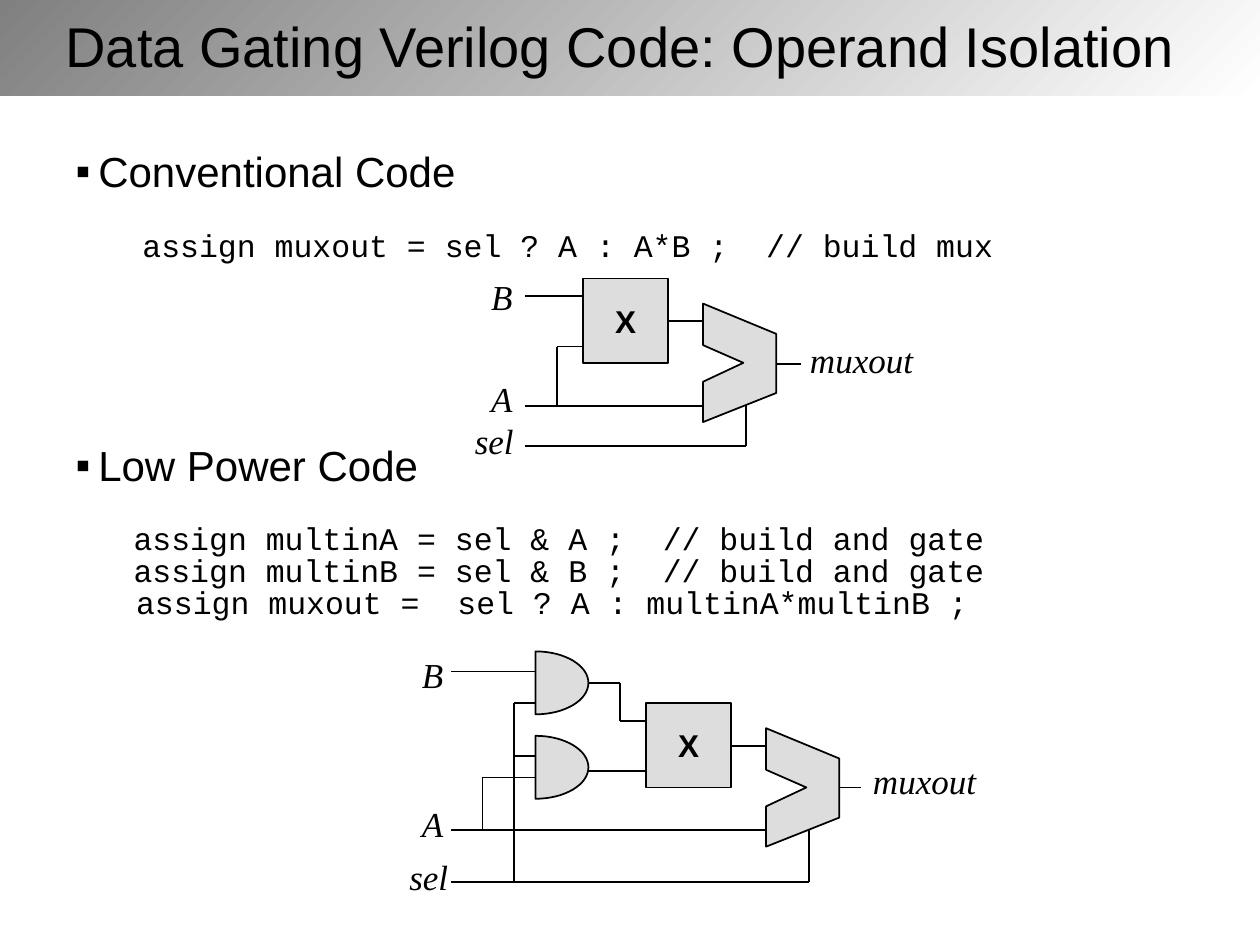
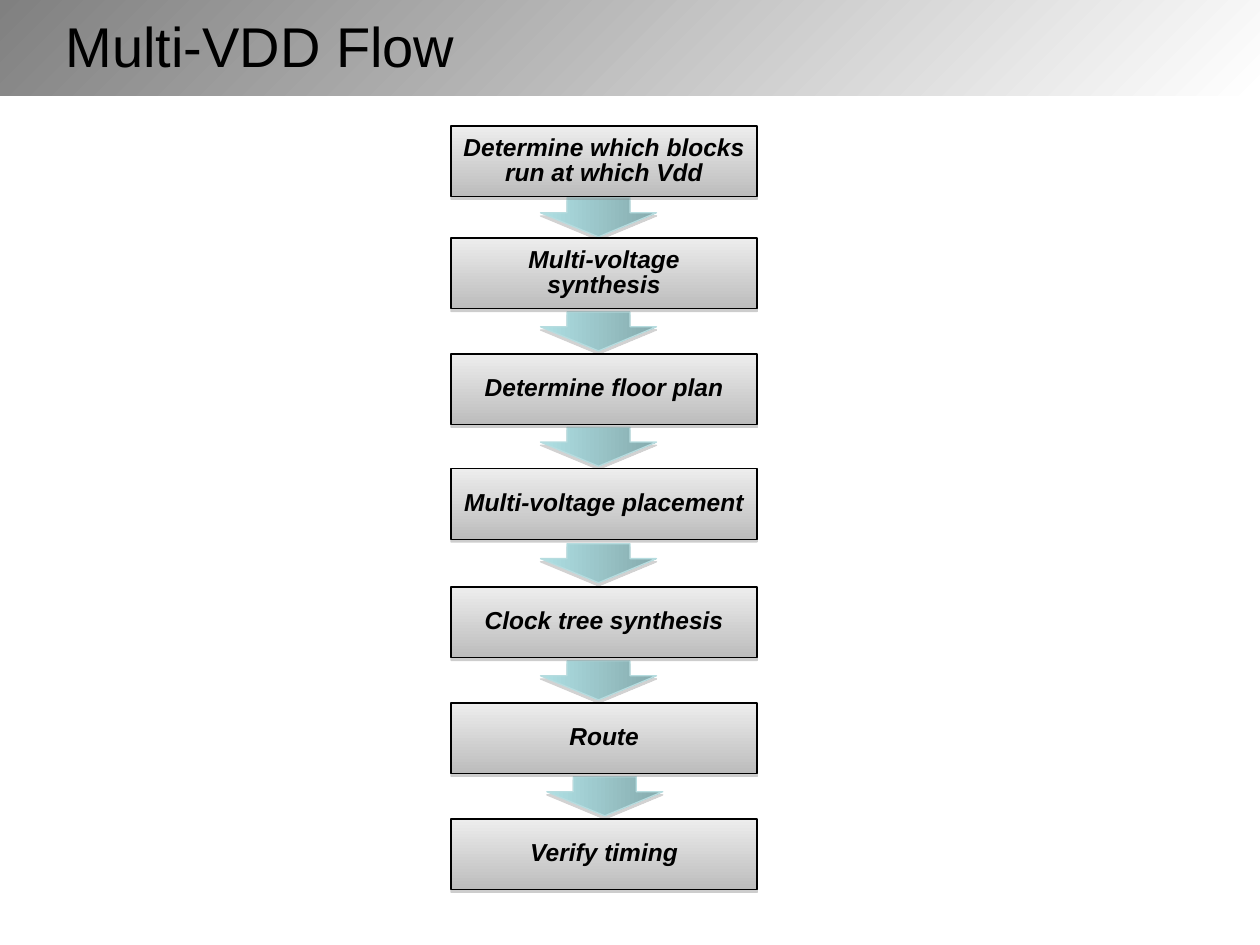
"""Builds two low-power design slides: operand isolation and the multi-VDD flow."""
from dataclasses import dataclass
from math import cos, pi, sin

from lxml.etree import SubElement
from pptx import Presentation
from pptx.dml.color import RGBColor
from pptx.enum.shapes import MSO_CONNECTOR, MSO_SHAPE
from pptx.enum.text import MSO_ANCHOR, MSO_AUTO_SIZE, PP_ALIGN
from pptx.oxml.ns import qn
from pptx.util import Inches, Pt


@dataclass(frozen=True)
class Theme:
    """Colours, fonts and type sizes of the deck."""
    ink: str = "000000"
    gate: str = "DDDDDD"
    band: tuple = ("808080", "FFFFFF")
    step: tuple = ("EDEDED", "BCBCBC")
    arrow: tuple = ("AFE0E4", "85AAAD")
    arrow_edge: str = "B6DCDF"
    shadow: str = "808080"
    sans: str = "Arial"
    mono: str = "Courier New"
    serif: str = "Times New Roman"
    title_size: int = 32
    heading_size: int = 24
    code_size: int = 18
    signal_size: int = 20
    step_size: int = 14


THEME = Theme()

ISOLATION_TITLE = "Data Gating Verilog Code: Operand Isolation"
FLOW_TITLE = "Multi-VDD Flow"

# (kind, text, left indent in inches, space before in points)
CODE_LINES = [
    ("heading", "Conventional Code", 0.18, 0),
    ("code", "assign muxout = sel ? A : A*B ;  // build mux", 0.53, 20.5),
    ("heading", "Low Power Code", 0.18, 105.5),
    ("code", "assign multinA = sel & A ;  // build and gate", 0.46, 20),
    ("code", "assign multinB = sel & B ;  // build and gate", 0.46, 0),
    ("code", "assign muxout =  sel ? A : multinA*multinB ;", 0.48, 0),
]

CONVENTIONAL = dict(
    multiplier=(4.63, 2.21), mux=(5.58, 2.41), and_gates=[],
    signals=[("sel", 3.67, 3.28, 0.51), ("B", 3.8, 2.14, 0.37),
             ("A", 3.8, 2.95, 0.37), ("muxout", 6.33, 2.64, 1.02)],
    wires=[[(6.36, 2.89), (6.08, 2.89)],
           [(5.58, 2.55), (5.3, 2.55)],
           [(4.17, 3.22), (5.57, 3.22)],
           [(4.42, 3.22), (4.42, 2.75), (4.63, 2.75)],
           [(4.63, 2.35), (4.17, 2.35)],
           [(4.17, 3.54), (5.92, 3.54), (5.92, 3.07)]],
)
LOW_POWER = dict(
    multiplier=(5.13, 5.58), mux=(6.08, 5.78), and_gates=[(4.25, 5.17), (4.25, 5.84)],
    signals=[("sel", 3.15, 6.74, 0.51), ("B", 3.25, 5.14, 0.37),
             ("A", 3.25, 6.32, 0.37), ("muxout", 6.83, 5.98, 1.02)],
    wires=[[(6.83, 6.25), (6.55, 6.25)],
           [(6.08, 5.92), (5.8, 5.92)],
           [(3.58, 6.59), (6.07, 6.59)],
           [(3.83, 6.58), (3.83, 6.17), (4.29, 6.17)],
           [(3.58, 5.33), (4.25, 5.33)],
           [(4.42, 5.42), (4.92, 5.42), (4.92, 5.72), (5.13, 5.72)],
           [(4.58, 6.12), (5.13, 6.12)],
           [(4.08, 7), (4.08, 5.58), (4.3, 5.58)],
           [(4.08, 6), (4.3, 6)],
           [(3.58, 7), (6.42, 7), (6.42, 6.53)]],
)
MUX_OUTLINE = [(0, 0), (0.58, 0.24), (0.58, 0.71), (0, 0.94), (0, 0.62), (0.32, 0.47), (0, 0.33)]
GATE_WIDTH, GATE_HEIGHT, GATE_STEPS = 0.42, 0.5, 32
MULTIPLIER_SIDE = 0.67

# (top, lines, centre of the arrow below)
FLOW_STEPS = [
    (1.0, ["Determine which blocks run at which Vdd"], 4.75),
    (1.89, ["Multi-voltage", "synthesis"], 4.75),
    (2.81, ["Determine floor plan"], 4.75),
    (3.72, ["Multi-voltage placement"], 4.75),
    (4.66, ["Clock tree synthesis"], 4.75),
    (5.58, ["Route"], 4.8),
    (6.5, ["Verify timing"], None),
]
STEP_LEFT, STEP_WIDTH, STEP_HEIGHT = 3.58, 2.43, 0.56
ARROW_LENGTH, ARROW_SPAN = 0.31, 0.92


def rgb(color):
    return RGBColor.from_string(color)


def box(*lengths):
    return [Inches(length) for length in lengths]


def add_run(paragraph, text, font, size, bold=False, italic=False):
    run = paragraph.add_run()
    run.text = text
    run.font.name, run.font.size = font, Pt(size)
    run.font.bold, run.font.italic = bold, italic
    run.font.color.rgb = rgb(THEME.ink)


def set_outline(shape, color, width):
    shape.line.color.rgb = rgb(color)
    shape.line.width = Pt(width)


def set_solid(shape):
    shape.shadow.inherit = False
    shape.fill.solid()
    shape.fill.fore_color.rgb = rgb(THEME.gate)
    set_outline(shape, THEME.ink, 1)


def set_gradient(shape, colors, clockwise):
    shape.shadow.inherit = False
    shape.fill.gradient()
    shape.fill.gradient_angle = -clockwise % 360
    for stop, color, position in zip(shape.fill.gradient_stops, colors, (0, 1)):
        stop.color.rgb = rgb(color)
        stop.position = position
    shape.element.spPr.find(qn("a:gradFill")).set("rotWithShape", "0")


def drop_shadow(shape, distance, opacity):
    effects = shape.element.spPr.find(qn("a:effectLst"))
    shadow = SubElement(effects, qn("a:outerShdw"), blurRad="0", dist=str(Pt(distance)),
                        dir="5400000", rotWithShape="0")
    color = SubElement(shadow, qn("a:srgbClr"), val=THEME.shadow)
    SubElement(color, qn("a:alpha"), val=str(opacity * 1000))


def add_band(prs, slide):
    band = slide.shapes.add_shape(MSO_SHAPE.RECTANGLE, *box(0, -0.01, 10, 0.77))
    set_gradient(band, THEME.band, 45)
    band.line.fill.background()
    band.element.nvSpPr.cNvPr.set("id", "99")
    prs.slide_master.shapes.element.insert(2, band.element)


def place(placeholder, left, top, width, height, anchor):
    placeholder.left, placeholder.top, placeholder.width, placeholder.height = box(
        left, top, width, height)
    frame = placeholder.text_frame
    frame.auto_size = MSO_AUTO_SIZE.NONE
    frame.word_wrap = True
    frame.vertical_anchor = anchor
    frame.margin_left = frame.margin_right = Inches(0.1)
    frame.margin_top = frame.margin_bottom = Inches(0.05)
    return frame


def add_titled_slide(prs, layout, title, width):
    slide = prs.slides.add_slide(prs.slide_layouts.get_by_name(layout))
    heading = place(slide.shapes.title, 0.42, 0.09, width, 0.53, MSO_ANCHOR.MIDDLE).paragraphs[0]
    heading.alignment = PP_ALIGN.LEFT
    add_run(heading, title, THEME.sans, THEME.title_size)
    return slide


def fill_code(frame):
    for number, (kind, text, indent, before) in enumerate(CODE_LINES):
        line = frame.paragraphs[0] if number == 0 else frame.add_paragraph()
        is_heading = kind == "heading"
        props = line._p.get_or_add_pPr()
        props.set("marL", str(Inches(indent)))
        props.set("indent", str(Inches(-0.18 if is_heading else 0)))
        if is_heading:
            SubElement(props, qn("a:buFont"), typeface=THEME.sans)
            SubElement(props, qn("a:buChar"), char="▪")
        else:
            SubElement(props, qn("a:buNone"))
        line.space_before = Pt(before)
        line.line_spacing = Pt(24 if is_heading else 18.2)
        if is_heading:
            add_run(line, text, THEME.sans, THEME.heading_size)
        else:
            add_run(line, text, THEME.mono, THEME.code_size)


def add_wire(shapes, start, end):
    wire = shapes.add_connector(MSO_CONNECTOR.STRAIGHT, *box(*start, *end))
    set_outline(wire, THEME.ink, 1)
    SubElement(wire.element.spPr, qn("a:effectLst"))


def add_outline(shapes, origin, offsets):
    points = [(Inches(origin[0] + x), Inches(origin[1] + y)) for x, y in offsets]
    builder = shapes.build_freeform(*points[0])
    builder.add_line_segments(points[1:], close=True)
    set_solid(builder.convert_to_shape())


def gate_outline():
    radius = GATE_HEIGHT / 2
    angles = [pi * step / GATE_STEPS - pi / 2 for step in range(GATE_STEPS + 1)]
    return [(GATE_WIDTH * cos(a), radius + radius * sin(a)) for a in angles]


def add_circuit(slide, circuit):
    shapes = slide.shapes.add_group_shape().shapes
    for wire in circuit["wires"]:
        for start, end in zip(wire, wire[1:]):
            add_wire(shapes, start, end)
    add_outline(shapes, circuit["mux"], MUX_OUTLINE)
    for origin in circuit["and_gates"]:
        add_outline(shapes, origin, gate_outline())

    multiplier = shapes.add_shape(MSO_SHAPE.RECTANGLE, *box(
        *circuit["multiplier"], MULTIPLIER_SIDE, MULTIPLIER_SIDE))
    set_solid(multiplier)
    multiplier.text_frame.word_wrap = False
    multiplier.text_frame.vertical_anchor = MSO_ANCHOR.MIDDLE
    sign = multiplier.text_frame.paragraphs[0]
    sign.alignment = PP_ALIGN.CENTER
    add_run(sign, "X", THEME.sans, THEME.code_size, bold=True)

    for name, left, top, width in circuit["signals"]:
        frame = shapes.add_textbox(*box(left, top, width, 0.44)).text_frame
        frame.word_wrap = False
        frame.auto_size = MSO_AUTO_SIZE.SHAPE_TO_FIT_TEXT
        add_run(frame.paragraphs[0], name, THEME.serif, THEME.signal_size, italic=True)


def add_flow_arrow(slide, center_x, center_y):
    arrow = slide.shapes.add_shape(MSO_SHAPE.RIGHT_ARROW, *box(
        center_x - ARROW_LENGTH / 2, center_y - ARROW_SPAN / 2, ARROW_LENGTH, ARROW_SPAN))
    arrow.rotation = 90
    arrow.adjustments[0], arrow.adjustments[1] = 0.543, 0.617
    set_gradient(arrow, THEME.arrow, 0)
    set_outline(arrow, THEME.arrow_edge, 0.75)
    drop_shadow(arrow, 1.8, 35)


def add_flow_step(slide, top, lines):
    step = slide.shapes.add_shape(MSO_SHAPE.RECTANGLE, *box(
        STEP_LEFT, top, STEP_WIDTH, STEP_HEIGHT))
    set_gradient(step, THEME.step, 90)
    set_outline(step, THEME.ink, 0.75)
    drop_shadow(step, 1.6, 38)
    frame = step.text_frame
    frame.word_wrap = True
    frame.vertical_anchor = MSO_ANCHOR.MIDDLE
    for number, text in enumerate(lines):
        line = frame.paragraphs[0] if number == 0 else frame.add_paragraph()
        line.alignment = PP_ALIGN.CENTER
        line.line_spacing = 0.85
        add_run(line, text, THEME.sans, THEME.step_size, bold=True, italic=True)


def main():
    prs = Presentation()
    prs.slide_width, prs.slide_height = box(10, 7.5)

    isolation = add_titled_slide(prs, "Title and Content", ISOLATION_TITLE, 9.25)
    add_band(prs, isolation)
    fill_code(place(isolation.placeholders[1], 0.5, 1.17, 9.33, 4.83, MSO_ANCHOR.TOP))
    for circuit in (CONVENTIONAL, LOW_POWER):
        add_circuit(isolation, circuit)

    flow = add_titled_slide(prs, "Title Only", FLOW_TITLE, 9.58)
    for (top, _, center_x), (next_top, _, _) in zip(FLOW_STEPS, FLOW_STEPS[1:]):
        add_flow_arrow(flow, center_x, (top + STEP_HEIGHT + next_top) / 2)
    for top, lines, _ in FLOW_STEPS:
        add_flow_step(flow, top, lines)

    prs.save("out.pptx")


if __name__ == "__main__":
    main()
